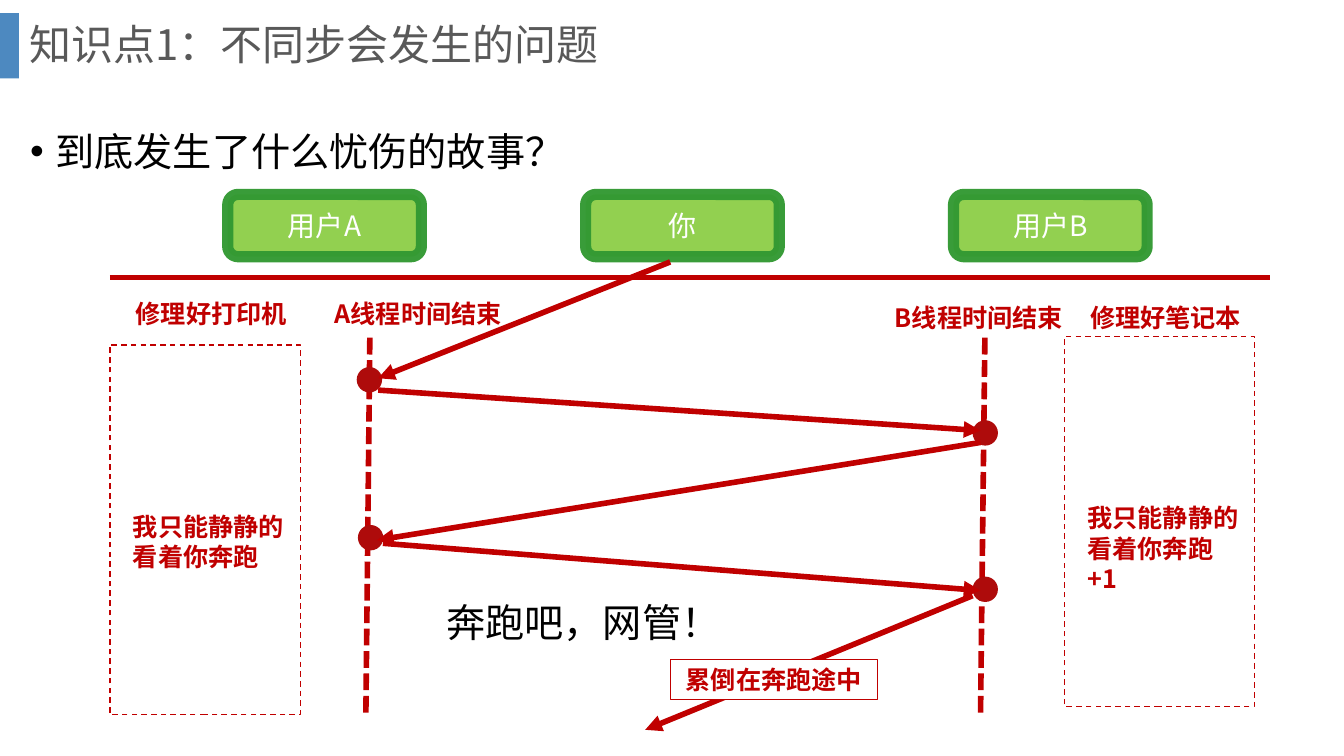
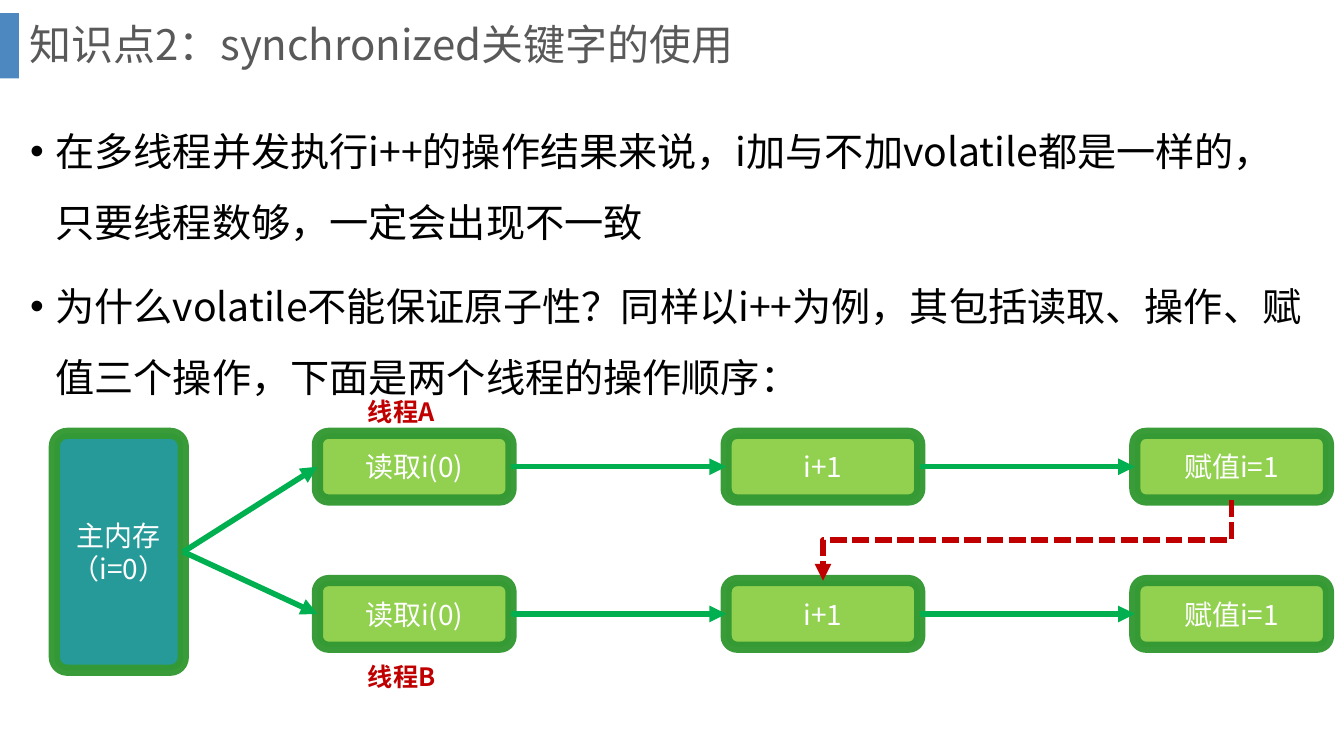
from lxml import etree
from pptx import Presentation, util as u
from pptx.dml.color import RGBColor
from pptx.enum import dml, shapes, text
from pptx.oxml.ns import qn

FONT = "Noto Sans CJK SC"
RED, DOT_RED, GREEN = "C00000", "AE0B0B", "00B050"
LIME, BORDER, TEAL = "92D050", "339933", "269999"
BLUE, GREY, WHITE, BLACK = "2E75B6", "595959", "FFFFFF", "000000"
SHAPE, ALIGN, ANCHOR = shapes.MSO_SHAPE, text.PP_ALIGN, text.MSO_ANCHOR
DASH = dml.MSO_LINE
NODE_WIDTH = 4.88


def color(code):
    return RGBColor.from_string(code)


def set_alpha(fill_owner, percent):
    """Make the solid colour below the given XML element partly transparent."""
    code = next(fill_owner.iter(qn("a:srgbClr")))
    etree.SubElement(code, qn("a:alpha"), val=str(percent * 1000))


def write(frame, lines, size=18, ink=RED, bold=False, align=ALIGN.LEFT,
          anchor=ANCHOR.TOP, spacing=None, before=0, bullet=False):
    frame.word_wrap = True
    frame.auto_size = text.MSO_AUTO_SIZE.NONE
    frame.vertical_anchor = anchor
    for index, line in enumerate(lines):
        para = frame.add_paragraph() if index else frame.paragraphs[0]
        if bullet:
            props = para._p.get_or_add_pPr()
            props.set("marL", str(u.Cm(0.64)))
            props.set("indent", str(-u.Cm(0.64)))
            etree.SubElement(props, qn("a:buFont"), typeface="Arial")
            etree.SubElement(props, qn("a:buChar"), char="•")
        para.alignment = align
        if spacing:
            para.line_spacing = spacing
        if index and before:
            para.space_before = u.Pt(before)
        span = para.add_run()
        span.text = line
        span.font.size = u.Pt(size)
        span.font.bold = bold
        span.font.color.rgb = color(ink)
        span.font.name = FONT
        etree.SubElement(span._r.get_or_add_rPr(), qn("a:ea"), typeface=FONT)


def add_text(page, left, top, width, height, lines, **style):
    box = page.shapes.add_textbox(u.Cm(left), u.Cm(top), u.Cm(width), u.Cm(height))
    write(box.text_frame, lines, **style)


def add_label(page, left, top, width, height, line):
    add_text(page, left, top, width, height, [line], bold=True)


def add_box(page, left, top, width, height, kind=SHAPE.RECTANGLE,
            fill=None, border=None, weight=1, dash=None):
    box = page.shapes.add_shape(kind, u.Cm(left), u.Cm(top), u.Cm(width), u.Cm(height))
    box.shadow.inherit = False
    if fill:
        box.fill.solid()
        box.fill.fore_color.rgb = color(fill)
    else:
        box.fill.background()
    if border:
        box.line.color.rgb = color(border)
        box.line.width = u.Pt(weight)
        if dash:
            box.line.dash_style = dash
    else:
        box.line.fill.background()
    return box


def add_node(page, left, top, height, lines, width=NODE_WIDTH, fill=LIME):
    """Rounded box with a thick green border and white text."""
    node = add_box(page, left, top, width, height, SHAPE.ROUNDED_RECTANGLE,
                   fill, BORDER, 8)
    set_alpha(node.line._get_or_add_ln(), 96)
    write(node.text_frame, lines, size=20, ink=WHITE, align=ALIGN.CENTER,
          anchor=ANCHOR.MIDDLE)
    return node


def add_line(page, start=(0, 0), end=(0, 0), ink=RED, dash=None, arrow=False,
             kind=shapes.MSO_CONNECTOR.STRAIGHT):
    line = page.shapes.add_connector(kind, *(u.Cm(n) for n in (*start, *end)))
    line.line.color.rgb = color(ink)
    line.line.width = u.Pt(4)
    if dash:
        line.line.dash_style = dash
    if arrow:
        etree.SubElement(line.line._get_or_add_ln(), qn("a:tailEnd"), type="triangle")
    etree.SubElement(line._element.spPr, qn("a:effectLst"))
    return line


def link(page, source, target):
    """Green arrow from the right side of one node to the left side of another."""
    line = add_line(page, ink=GREEN, arrow=True)
    line.begin_connect(source, 3)
    line.end_connect(target, 1)


def link_down(page, source, target):
    """Dashed elbow from the bottom of a node to the top of one lower left."""
    line = add_line(page, dash=DASH.SQUARE_DOT, arrow=True,
                    kind=shapes.MSO_CONNECTOR.ELBOW)
    line.begin_connect(source, 2)
    line.end_connect(target, 0)
    across, down = line.begin_x - line.end_x, line.end_y - line.begin_y
    center_x = (line.begin_x + line.end_x) // 2
    center_y = (line.begin_y + line.end_y) // 2
    frame = line._element.spPr.find(qn("a:xfrm"))
    for flip in ("flipH", "flipV"):
        frame.attrib.pop(flip, None)
    frame.set("rot", str(90 * 60000))
    line.width, line.height = down, across
    line.left, line.top = center_x - down // 2, center_y - across // 2


def add_page(deck, title, bullets):
    page = deck.slides.add_slide(deck.slide_layouts[5])
    band = add_box(page, 0, 0.33, 0.48, 1.65, fill=BLUE)
    set_alpha(band._element.spPr, 85)
    heading = page.shapes.title
    heading.left, heading.top = u.Cm(0.48), u.Cm(0)
    heading.width, heading.height = u.Cm(32.16), u.Cm(2.36)
    write(heading.text_frame, [title], size=30, ink=GREY, anchor=ANCHOR.MIDDLE,
          spacing=0.9)
    add_text(page, 0.51, 2.49, 32.77, 15.14, bullets, size=28, ink=BLACK,
             spacing=1.5, before=10, bullet=True)
    return page


def waiting_panel(page, left, top, caption, caption_rise, quote):
    add_label(page, left + 0.4, top - caption_rise, 5.2, 1.02, caption)
    add_box(page, left, top, 4.8, 9.32, border=RED, dash=DASH.DASH)
    add_label(page, left + 0.33, top + 4.06, 4.39, 2.57, quote)


def thread_story(page, left, top):
    """Two users' timelines with the runner going back and forth between them."""
    def at(x, y):
        return left + x, top + y

    for x, name in ((2.97, "用户A"), (11.99, "你"), (21.26, "用户B")):
        add_node(page, *at(x, 0.02), 1.57, [name])
    add_line(page, at(0, 2.11), at(29.23, 2.11))
    for x, bottom_x in ((6.55, 6.45), (22.05, 21.94)):
        add_line(page, at(x, 3.63), at(bottom_x, 13.15), dash=DASH.SQUARE_DOT)
    add_label(page, *at(5.41, 2.51), 4.95, 1.02, "A线程时间结束")
    add_label(page, *at(19.53, 2.61), 4.8, 1.8, "B线程时间结束")
    for x, y in ((6.22, 4.37), (21.74, 5.71), (6.25, 8.35), (21.74, 9.65)):
        add_box(page, *at(x, y), 0.64, 0.64, SHAPE.OVAL, fill=DOT_RED)
    runs = (
        ((14.12, 1.72), (6.76, 4.65)),
        ((6.76, 4.95), (21.94, 5.97)),
        ((21.94, 6.27), (6.73, 8.73)),
        ((6.88, 8.81), (21.94, 10)),
        ((21.74, 10.13), (13.49, 13.51)),
    )
    for start, end in runs:
        add_line(page, at(*start), at(*end), arrow=True)
    waiting_panel(page, *at(0, 3.81), "修理好打印机", 1.3, "我只能静静的看着你奔跑")
    waiting_panel(page, *at(24.05, 3.6), "修理好笔记本", 0.99, "我只能静静的看着你奔跑+1")
    note = add_box(page, *at(14.12, 11.73), 5.23, 1.02, fill=WHITE, border=RED,
                   weight=0.75)
    write(note.text_frame, ["累倒在奔跑途中"], bold=True, align=ALIGN.CENTER,
          anchor=ANCHOR.MIDDLE)
    add_text(page, *at(8.23, 10.08), 19.43, 1.45, ["奔跑吧，网管！"], size=28, ink=BLACK)


def thread_flow(page, left, top):
    """Main memory feeding two rows of read, add and assign steps."""
    memory = add_node(page, left, top, 5.97, ["主内存", "（i=0）"], width=3.25, fill=TEAL)
    memory.adjustments[0] = 0.1
    column_step, row_step = 10.3, 3.71
    rows = []
    for row, (name, label_top) in enumerate((("线程A", -1.07), ("线程B", 5.62))):
        steps = [add_node(page, left + 6.63 + column * column_step,
                          top + row * row_step, 1.68, [step])
                 for column, step in enumerate(("读取i(0)", "i+1", "赋值i=1"))]
        chain = [memory, *steps]
        for source, target in zip(chain, steps):
            link(page, source, target)
        add_label(page, left + 7.65, top + label_top, 4.39, 1.02, name)
        rows.append(steps)
    link_down(page, rows[0][2], rows[1][1])


def main():
    deck = Presentation()
    deck.slide_width, deck.slide_height = u.Cm(33.87), u.Cm(19.05)
    story = add_page(deck, "知识点1：不同步会发生的问题", ["到底发生了什么忧伤的故事？"])
    thread_story(story, 2.77, 4.88)
    flow = add_page(deck, "知识点2：synchronized关键字的使用", [
        "在多线程并发执行i++的操作结果来说，i加与不加volatile都是一样的，"
        "只要线程数够，一定会出现不一致",
        "为什么volatile不能保证原子性？同样以i++为例，其包括读取、操作、"
        "赋值三个操作，下面是两个线程的操作顺序：",
    ])
    thread_flow(flow, 1.37, 10.92)
    deck.save("out.pptx")


if __name__ == "__main__":
    main()
